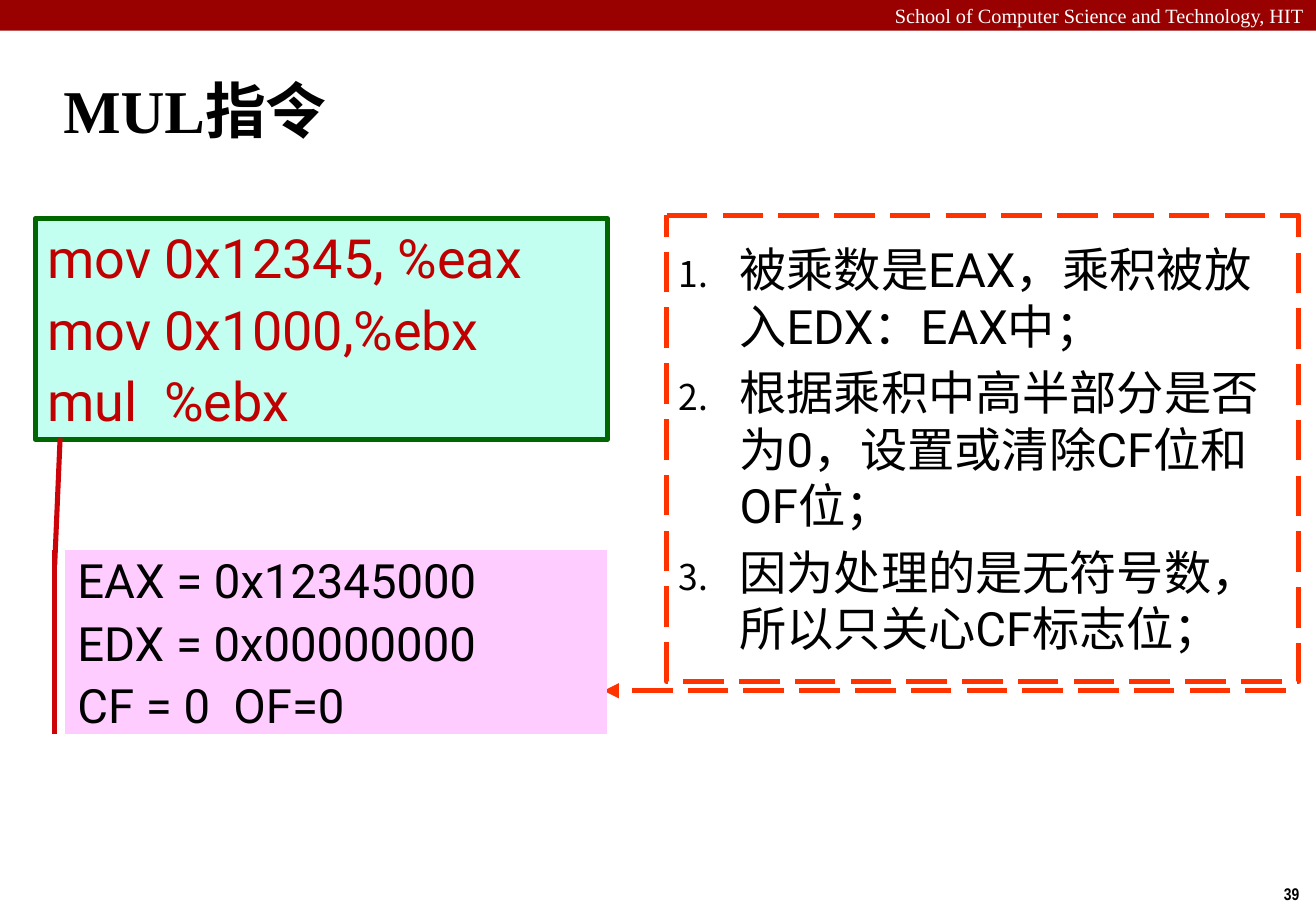
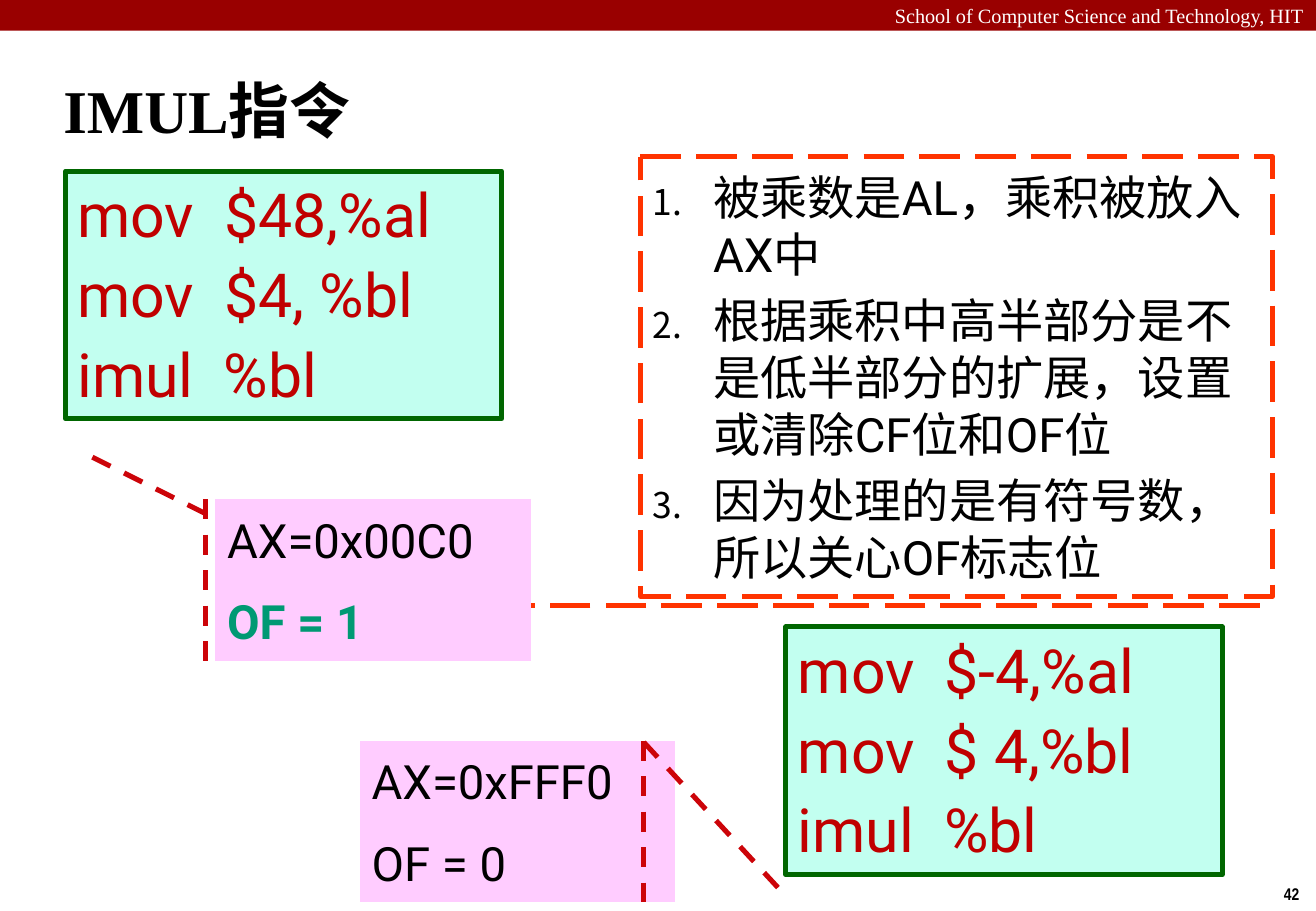
from lxml.etree import SubElement
from pptx import Presentation
from pptx.dml.color import RGBColor
from pptx.enum.dml import MSO_LINE
from pptx.enum.shapes import MSO_SHAPE
from pptx.enum.text import MSO_ANCHOR, PP_ALIGN
from pptx.oxml.ns import qn
from pptx.util import Cm, Pt

COLORS = {
    "band": "990000", "white": "FFFFFF", "black": "000000",
    "code_fill": "C2FFF0", "code_line": "006600", "code_text": "C00000",
    "rules_line": "FF3300", "result_fill": "FFCCFF", "result_line": "CC0409",
    "highlight": "009973",
}
SLIDE_WIDTH, SLIDE_HEIGHT = 27.51, 19.05
BODY_FONT, TITLE_FONT, NUMBER_FONT = "Roboto", "Times New Roman", "Arial Narrow"


def rgb(name):
    return RGBColor.from_string(COLORS[name])


def add_box(slide, kind, box, fill=None, line=None, dash=None):
    shape = slide.shapes.add_shape(kind, *map(Cm, box))
    shape.shadow.inherit = False
    if fill:
        shape.fill.solid()
        shape.fill.fore_color.rgb = rgb(fill)
    else:
        shape.fill.background()
    if line:
        shape.line.color.rgb = rgb(line)
        shape.line.width = Pt(3)
    else:
        shape.line.fill.background()
    if dash:
        shape.line.dash_style = dash
    return shape


def format_paragraph(paragraph, size, color, font=BODY_FONT, bold=False, align=PP_ALIGN.LEFT):
    paragraph.alignment = align
    paragraph.font.name = font
    paragraph.font.size = Pt(size)
    paragraph.font.bold = bold
    paragraph.font.color.rgb = rgb(color)


def add_number(paragraph):
    properties = paragraph._p.get_or_add_pPr()
    properties.set("marL", str(Cm(1.27)))
    properties.set("indent", str(-Cm(1.27)))
    bullet_color = SubElement(properties, qn("a:buClr"))
    SubElement(bullet_color, qn("a:srgbClr"), val=COLORS["black"])
    SubElement(properties, qn("a:buSzPct"), val="75000")
    SubElement(properties, qn("a:buAutoNum"), type="arabicPeriod")


def write_lines(shape, lines, size, color, gap, anchor=MSO_ANCHOR.MIDDLE, numbered=False):
    frame = shape.text_frame
    frame.word_wrap = True
    frame.vertical_anchor = anchor
    for index, line in enumerate(lines):
        paragraph = frame.add_paragraph() if index else frame.paragraphs[0]
        paragraph.text = line
        if numbered:
            add_number(paragraph)
        if index:
            paragraph.space_before = Pt(gap)
        format_paragraph(paragraph, size, color)


def set_adjustments(shape, values):
    for index, value in enumerate(values):
        shape.adjustments[index] = value


def add_code(slide, box, lines, size):
    shape = add_box(slide, MSO_SHAPE.RECTANGLE, box, "code_fill", "code_line")
    write_lines(shape, lines, size, "code_text", 4, MSO_ANCHOR.TOP)


def add_rules(slide, box, lines, pointer_end):
    shape = add_box(slide, MSO_SHAPE.LINE_CALLOUT_1, box,
                    line="rules_line", dash=MSO_LINE.LONG_DASH)
    set_adjustments(shape, (1.02, 0.98, 1.02, pointer_end))
    SubElement(shape.element.spPr.find(qn("a:ln")), qn("a:tailEnd"), type="triangle")
    write_lines(shape, lines, 28, "black", 5.6, numbered=True)


def add_result(slide, box, lines, pointer, gap, dash=None, highlighted=None):
    shape = add_box(slide, MSO_SHAPE.LINE_CALLOUT_1_ACCENT_BAR, box,
                    "result_fill", "result_line", dash)
    set_adjustments(shape, pointer)
    write_lines(shape, lines, 28, "black", gap)
    if highlighted is not None:
        format_paragraph(shape.text_frame.paragraphs[highlighted], 28, "highlight", bold=True)


def add_band(slide, layout):
    band = add_box(slide, MSO_SHAPE.RECTANGLE, (0, 0, SLIDE_WIDTH, 0.64), "band")
    frame = band.text_frame
    frame.margin_top = frame.margin_bottom = 0
    frame.vertical_anchor = MSO_ANCHOR.MIDDLE
    frame.text = "School of Computer Science and Technology, HIT"
    format_paragraph(frame.paragraphs[0], 12, "white", TITLE_FONT, align=PP_ALIGN.RIGHT)
    layout.shapes.element.append(band.element)


def add_page(presentation, layout, title, number):
    slide = presentation.slides.add_slide(layout)
    heading = slide.shapes.title
    heading.left, heading.top, heading.width, heading.height = map(Cm, (1.07, 1.22, 26.44, 2.11))
    heading.text_frame.text = title
    heading.text_frame.vertical_anchor = MSO_ANCHOR.MIDDLE
    format_paragraph(heading.text_frame.paragraphs[0], 36, "black", TITLE_FONT, bold=True)
    page_number = slide.shapes.add_textbox(*map(Cm, (26.57, 18.35, 0.86, 0.69)))
    page_number.text_frame.word_wrap = False
    page_number.text_frame.text = str(number)
    format_paragraph(page_number.text_frame.paragraphs[0], 10, "black", NUMBER_FONT,
                     bold=True, align=PP_ALIGN.CENTER)
    return slide


def fill_mul(slide):
    add_code(slide, (0.74, 4.57, 11.96, 4.62),
             ["mov 0x12345, %eax", "mov 0x1000,%ebx", "mul  %ebx"], 32)
    add_rules(slide, (13.94, 4.5, 13.21, 9.75),
              ["被乘数是EAX，乘积被放入EDX：EAX中；",
               "根据乘积中高半部分是否为0，设置或清除CF位和OF位；",
               "因为处理的是无符号数，所以只关心CF标志位；"], -0.1)
    add_result(slide, (1.37, 11.51, 11.33, 3.84),
               ["EAX = 0x12345000", "EDX = 0x00000000", "CF = 0  OF=0"],
               (0.08, -0.02, -0.61, -0.01), 3.5)


def fill_imul(slide):
    add_code(slide, (1.37, 3.58, 9.12, 5.18),
             ["mov  $48,%al", "mov  $4, %bl", "imul  %bl"], 36)
    add_rules(slide, (13.39, 3.28, 13.21, 9.19),
              ["被乘数是AL，乘积被放入AX中",
               "根据乘积中高半部分是不是低半部分的扩展，设置或清除CF位和OF位",
               "因为处理的是有符号数，所以关心OF标志位"], -0.25)
    add_result(slide, (4.5, 10.44, 6.6, 3.38), ["AX=0x00C0", "OF = 1"],
               (0.09, -0.03, -0.3, -0.43), 14.5, MSO_LINE.DASH, highlighted=1)
    add_code(slide, (16.43, 13.11, 9.12, 5.18),
             ["mov  $-4,%al", "mov  $ 4,%bl", "imul  %bl"], 36)
    add_result(slide, (7.52, 15.49, 6.6, 3.38), ["AX=0xFFF0", "OF = 0"],
               (0.01, 0.9, 0.92, 1.33), 14.5, MSO_LINE.DASH)


def main():
    presentation = Presentation()
    presentation.slide_width = Cm(SLIDE_WIDTH)
    presentation.slide_height = Cm(SLIDE_HEIGHT)
    layout = presentation.slide_layouts[5]
    mul = add_page(presentation, layout, "MUL指令", 39)
    add_band(mul, layout)
    fill_mul(mul)
    fill_imul(add_page(presentation, layout, "IMUL指令", 42))
    presentation.save("out.pptx")


if __name__ == "__main__":
    main()
